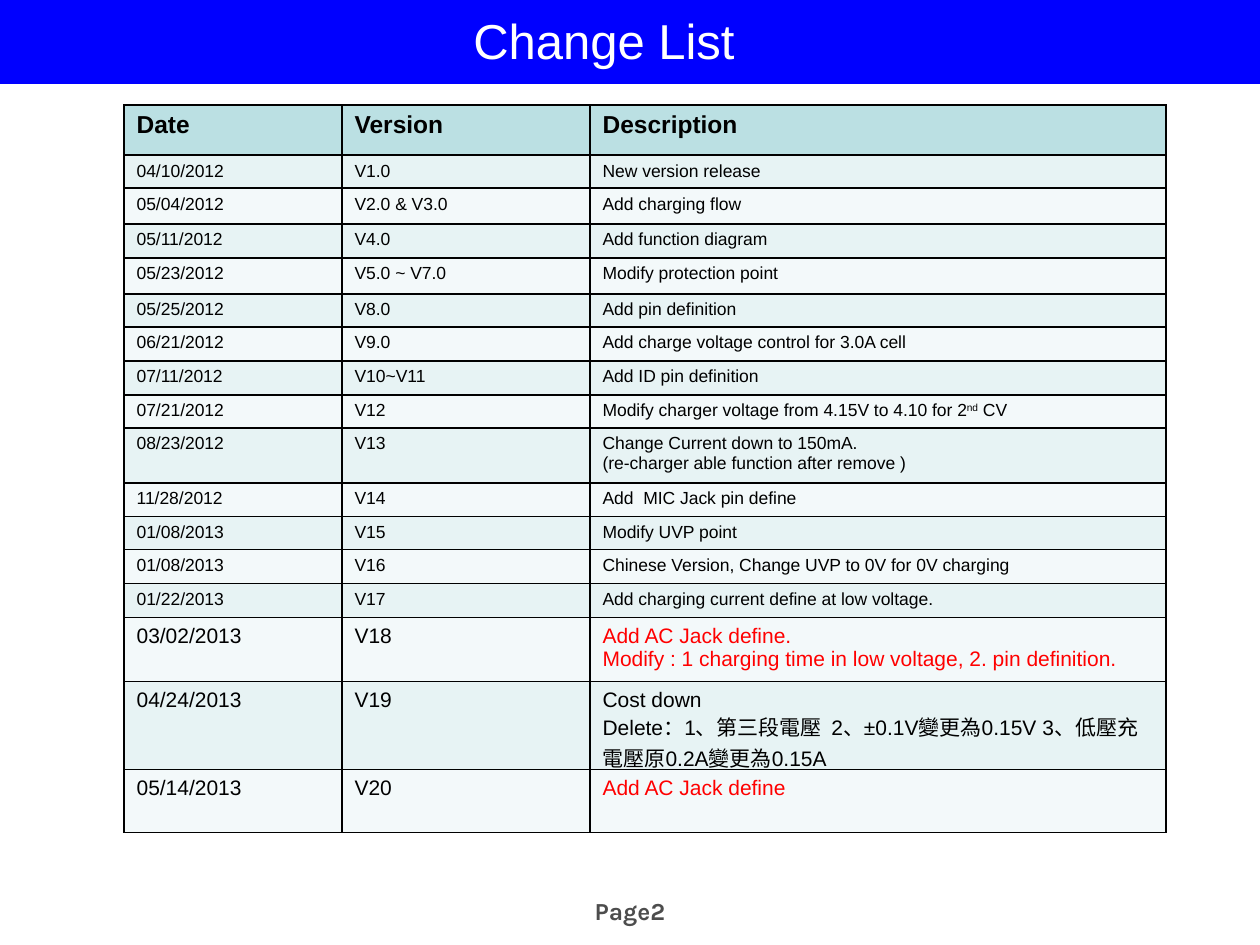
from lxml import etree
from pptx import Presentation
from pptx import util as u
from pptx.dml.color import RGBColor
from pptx.enum import shapes, text
from pptx.oxml.ns import qn

PX = 914400 / 126
BLUE, WHITE, BLACK, RED, GREY = "0000FF", "FFFFFF", "000000", "FF0000", "4D4D4D"
HEADER_FILL, BANDS = "BBE0E3", ("E7F3F4", "F3F9FA")

COLUMN_WIDTHS = (218, 248, 576)
HEADINGS = ("Date", "Version", "Description")
HEADER_HEIGHT = 50
SMALL, LARGE = 10, 12

# Row height, font size, description colour, date, version, description.
# A list inside a description line marks a superscript.
CHANGES = [
    (33, SMALL, BLACK, "04/10/2012", "V1.0", ["New version release"]),
    (36, SMALL, BLACK, "05/04/2012", "V2.0 & V3.0", ["Add charging flow"]),
    (34, SMALL, BLACK, "05/11/2012", "V4.0", ["Add function diagram"]),
    (36, SMALL, BLACK, "05/23/2012", "V5.0 ~ V7.0", ["Modify protection point"]),
    (33, SMALL, BLACK, "05/25/2012", "V8.0", ["Add pin definition"]),
    (34, SMALL, BLACK, "06/21/2012", "V9.0", ["Add charge voltage control for 3.0A cell"]),
    (34, SMALL, BLACK, "07/11/2012", "V10~V11", ["Add ID pin definition"]),
    (33, SMALL, BLACK, "07/21/2012", "V12",
     [("Modify charger voltage from 4.15V to 4.10 for 2", ["nd"], " CV")]),
    (55, SMALL, BLACK, "08/23/2012", "V13",
     ["Change Current down to 150mA.", "(re-charger able function after remove )"]),
    (34, SMALL, BLACK, "11/28/2012", "V14", ["Add  MIC Jack pin define"]),
    (33, SMALL, BLACK, "01/08/2013", "V15", ["Modify UVP point"]),
    (34, SMALL, BLACK, "01/08/2013", "V16",
     ["Chinese Version, Change UVP to 0V for 0V charging"]),
    (34, SMALL, BLACK, "01/22/2013", "V17", ["Add charging current define at low voltage."]),
    (64, LARGE, RED, "03/02/2013", "V18",
     ["Add AC Jack define.", "Modify : 1 charging time in low voltage, 2. pin definition."]),
    (88, LARGE, BLACK, "04/24/2013", "V19",
     ["Cost down", "Delete：1、第三段電壓  2、±0.1V變更為0.15V 3、低壓充電壓原0.2A變更為0.15A"]),
    (63, LARGE, RED, "05/14/2013", "V20", ["Add AC Jack define"]),
]


def px(length):
    return u.Emu(round(length * PX))


def color(value):
    return RGBColor.from_string(value)


def write(frame, lines, size=SMALL, fill=BLACK, font="Arial", bold=False, align=None):
    """Write one paragraph per line; a line is a string or a tuple of run texts."""
    for index, line in enumerate(lines):
        paragraph = frame.paragraphs[0] if index == 0 else frame.add_paragraph()
        paragraph.alignment = align
        for part in (line if isinstance(line, tuple) else (line,)):
            raised = isinstance(part, list)
            run = paragraph.add_run()
            run.text = part[0] if raised else part
            run.font.name, run.font.size, run.font.bold = font, u.Pt(size), bold
            run.font.color.rgb = color(fill)
            if raised:
                run._r.get_or_add_rPr().set("baseline", "30000")


def add_text(slide, box, content, wrap=True, **style):
    frame = slide.shapes.add_textbox(*map(px, box)).text_frame
    frame.word_wrap = wrap
    write(frame, [content], **style)
    return frame


def add_header(slide, left, top, width, height):
    bar = slide.shapes.add_shape(
        shapes.MSO_SHAPE.RECTANGLE, *map(px, (left, top, width, height)))
    bar.shadow.inherit = False
    bar.fill.solid()
    bar.fill.fore_color.rgb = color(BLUE)
    bar.line.fill.background()
    title = add_text(slide, (left + 461, top + 4, 290, 72), "Change List",
                     wrap=False, size=28, fill=WHITE)
    title.auto_size = text.MSO_AUTO_SIZE.SHAPE_TO_FIT_TEXT


def set_borders(cell):
    properties = cell._tc.get_or_add_tcPr()
    for index, side in enumerate(("a:lnL", "a:lnR", "a:lnT", "a:lnB")):
        line = etree.Element(qn(side), w=str(u.Pt(1)))
        fill = etree.SubElement(line, qn("a:solidFill"))
        etree.SubElement(fill, qn("a:srgbClr"), val=BLACK)
        properties.insert(index, line)


def fill_cell(cell, lines, background, **style):
    cell.fill.solid()
    cell.fill.fore_color.rgb = color(background)
    cell.margin_bottom = 0
    set_borders(cell)
    write(cell.text_frame, lines, **style)


def add_change_table(slide, left, top):
    heights = [HEADER_HEIGHT] + [change[0] for change in CHANGES]
    table = slide.shapes.add_table(
        len(heights), len(COLUMN_WIDTHS), px(left), px(top),
        px(sum(COLUMN_WIDTHS)), px(sum(heights))).table
    for column, width in zip(table.columns, COLUMN_WIDTHS):
        column.width = px(width)
    for row, height in zip(table.rows, heights):
        row.height = px(height)

    for column, heading in enumerate(HEADINGS):
        fill_cell(table.cell(0, column), [heading], HEADER_FILL, size=14, bold=True)
    for index, (_, size, ink, date, version, description) in enumerate(CHANGES):
        entries = (([date], BLACK), ([version], BLACK), (description, ink))
        for column, (lines, fill) in enumerate(entries):
            fill_cell(table.cell(index + 1, column), lines, BANDS[index % 2],
                      size=size, fill=fill)


def main():
    presentation = Presentation()
    presentation.slide_width, presentation.slide_height = px(1260), px(945)
    slide = presentation.slides.add_slide(presentation.slide_layouts[6])
    add_header(slide, 0, 0, 1260, 84)
    add_change_table(slide, 124, 105)
    # Page number
    add_text(slide, (431, 890, 398, 37), "Page2", size=14, fill=GREY,
             font="Karla", bold=True, align=text.PP_ALIGN.CENTER)
    presentation.save("out.pptx")


if __name__ == "__main__":
    main()
